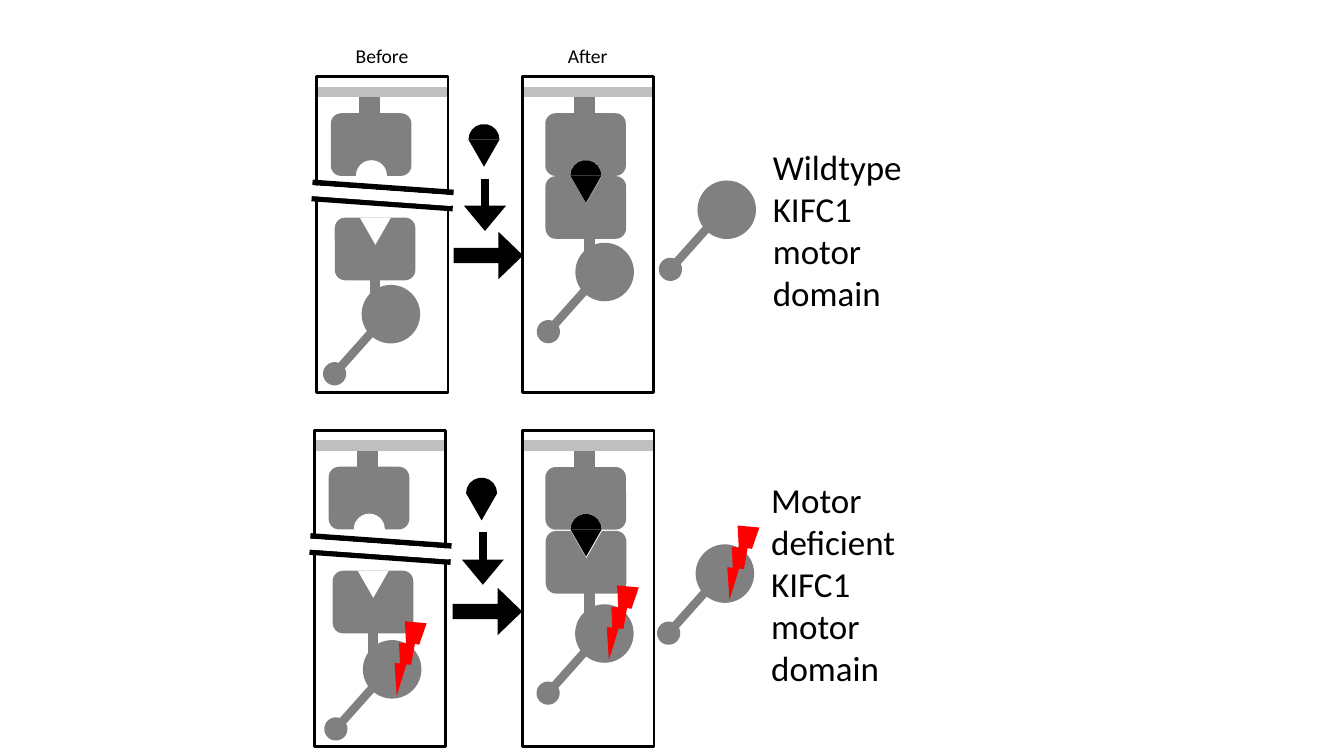
from math import cos, sin, pi
from lxml.etree import SubElement
from pptx import Presentation
from pptx.dml.color import RGBColor
from pptx.enum.shapes import MSO_CONNECTOR, MSO_SHAPE
from pptx.enum.text import MSO_AUTO_SIZE, PP_ALIGN
from pptx.oxml.ns import qn
from pptx.util import Pt

GREY, BLACK, WHITE, SILVER, RED = "808080", "000000", "FFFFFF", "BFBFBF", "FF0000"
HEAD_WIDTH, HEAD_HEIGHT = 57.6, 44.8
NOTCH, NOTCH_LEFT, WEDGE_HEIGHT = 22.2, 17.9, 19.4
PANEL_WIDTH, PANEL_HEIGHT = 94, 225.6
color = RGBColor.from_string


def add_solid(parent, kind, left, top, width, height, fill, rotation=0):
    shape = parent.shapes.add_shape(kind, Pt(left), Pt(top), Pt(width), Pt(height))
    shape.shadow.inherit = False
    shape.fill.solid()
    shape.fill.fore_color.rgb = color(fill)
    shape.line.fill.background()
    shape.rotation = rotation
    return shape


def add_line(parent, x1, y1, x2, y2, stroke, weight):
    line = parent.shapes.add_connector(
        MSO_CONNECTOR.STRAIGHT, Pt(x1), Pt(y1), Pt(x2), Pt(y2))
    line.line.color.rgb = color(stroke)
    line.line.width = Pt(weight)
    SubElement(line._element.spPr, qn("a:effectLst"))
    return line


deck = Presentation()
deck.slide_width, deck.slide_height = Pt(960), Pt(540)
page = deck.slides.add_slide(deck.slide_layouts[6])

# left, top, stem x, upper head x, lower head x and y, neck x and y, joined
panels = [
    (226, 54.9, 37.8, 10.3, 13.1, 100.5, 42, 144.6, False),
    (224.5, 307.4, 37.8, 10.3, 13.1, 100.2, 42, 144.2, False),
    (373, 54.9, 44.8, 16.5, 16.6, 70.9, 48.2, 110, True),
    (373.2, 307.6, 44.6, 16.4, 16.6, 71.6, 48, 110.6, True),
]
caps = [(334.6, 88.6), (332.9, 341.2)]

for left, top, stem, upper, lower, lower_top, neck, neck_top, joined in panels:
    add_line(page, left + stem, top + 10.7, left + stem, top + 28, GREY, 15)
    add_line(page, left, top + 10.7, left + PANEL_WIDTH, top + 10.7, SILVER, 7.5)
    frame = add_solid(page, MSO_SHAPE.RECTANGLE, left, top,
                      PANEL_WIDTH, PANEL_HEIGHT, WHITE)
    frame.fill.background()
    frame.line.color.rgb = color(BLACK)
    frame.line.width = Pt(2)

    upper_head = page.shapes.add_group_shape()
    add_solid(upper_head, MSO_SHAPE.ROUNDED_RECTANGLE, left + upper, top + 26,
              HEAD_WIDTH, HEAD_HEIGHT, GREY)
    add_solid(upper_head, MSO_SHAPE.OVAL, left + upper + NOTCH_LEFT, top + 59.5,
              NOTCH, NOTCH, WHITE)
    lower_head = page.shapes.add_group_shape()
    add_solid(lower_head, MSO_SHAPE.ROUNDED_RECTANGLE, left + lower, top + lower_top,
              HEAD_WIDTH, HEAD_HEIGHT, GREY, 180)
    add_solid(lower_head, MSO_SHAPE.ISOSCELES_TRIANGLE, left + lower + NOTCH_LEFT,
              top + lower_top, NOTCH, WEDGE_HEIGHT, WHITE, 180)
    add_line(page, left + neck, top + neck_top, left + neck, top + neck_top + 20,
             GREY, 7.5)

    if joined:
        caps.append((left + upper + NOTCH_LEFT, top + 59.5))
    else:
        gap = page.shapes.add_group_shape()
        for x, y, stroke, weight in [(-3.4, 86.9, BLACK, 4), (-2.8, 75.4, BLACK, 4),
                                     (-4.2, 81.2, WHITE, 7.75)]:
            add_line(gap, left + x, top + y, left + x + 100.8, top + y + 7.2,
                     stroke, weight)

radius = NOTCH / 2
for left, top in caps:
    cap = page.shapes.add_group_shape()
    base = top + radius
    add_solid(cap, MSO_SHAPE.ISOSCELES_TRIANGLE, left, base, NOTCH, WEDGE_HEIGHT,
              BLACK, 180)
    outline = [(left + radius + radius * cos(pi + pi * step / 9),
                base + radius * sin(pi + pi * step / 9)) for step in range(10)]
    builder = cap.shapes.build_freeform(Pt(outline[0][0]), Pt(outline[0][1]))
    builder.add_line_segments([(Pt(x), Pt(y)) for x, y in outline[1:]], close=True)
    dome = builder.convert_to_shape()
    dome.shadow.inherit = False
    dome.fill.solid()
    dome.fill.fore_color.rgb = color(BLACK)
    dome.line.fill.background()

motors = [(258.3, 203.5, False), (411, 173.4, False), (498.2, 128.9, False),
          (259.2, 457.2, True), (410.8, 431.6, True), (496.9, 388.8, True)]
for left, top, deficient in motors:
    motor = page.shapes.add_group_shape()
    add_solid(motor, MSO_SHAPE.OVAL, left, top, 41.8, 41.8, GREY, 21.5)
    add_line(motor, left + 15.5, top + 24.4, left - 17.7, top + 61.6, GREY, 6)
    add_solid(motor, MSO_SHAPE.OVAL, left - 27.6, top + 55.2, 16.6, 16.6, GREY, 21.5)
    if deficient:
        add_solid(motor, MSO_SHAPE.LIGHTNING_BOLT, left + 14.4, top - 16.6,
                  31.7, 52.6, RED, 42.6)

for left, top, drop_x, drop_top in [(331.9, 157.6, 346.4, 127.6),
                                    (331.3, 411.9, 344.9, 380.3)]:
    step_arrow = add_solid(page, MSO_SHAPE.DOWN_ARROW, left, top, 33.8, 49.7, BLACK, 270)
    step_arrow.adjustments[0], step_arrow.adjustments[1] = 0.32, 0.52
    drop_arrow = add_line(page, drop_x, drop_top, drop_x, drop_top + 37.4, BLACK, 6)
    SubElement(drop_arrow.line._get_or_add_ln(), qn("a:tailEnd"),
               type="triangle", w="lg", len="med")

labels = [
    ("Before", 246.6, 27.8, 52.6, 24.4, 14, PP_ALIGN.CENTER),
    ("After", 397.8, 27.8, 44, 24.4, 14, PP_ALIGN.CENTER),
    ("Wildtype\nKIFC1\nmotor \ndomain", 545, 100.6, 108, 128, 25, PP_ALIGN.LEFT),
    ("Motor\ndeficient\nKIFC1\nmotor\ndomain", 543.8, 338.6, 104.4, 158.4, 25,
     PP_ALIGN.LEFT),
]
for text, left, top, width, height, size, alignment in labels:
    box = page.shapes.add_textbox(Pt(left), Pt(top), Pt(width), Pt(height))
    box.text_frame.text = text
    box.text_frame.word_wrap = False
    box.text_frame.auto_size = MSO_AUTO_SIZE.SHAPE_TO_FIT_TEXT
    for para in box.text_frame.paragraphs:
        para.alignment = alignment
        for span in para.runs:
            span.font.name = "Calibri"
            span.font.size = Pt(size)
            span.font.color.rgb = color(BLACK)

deck.save("out.pptx")
